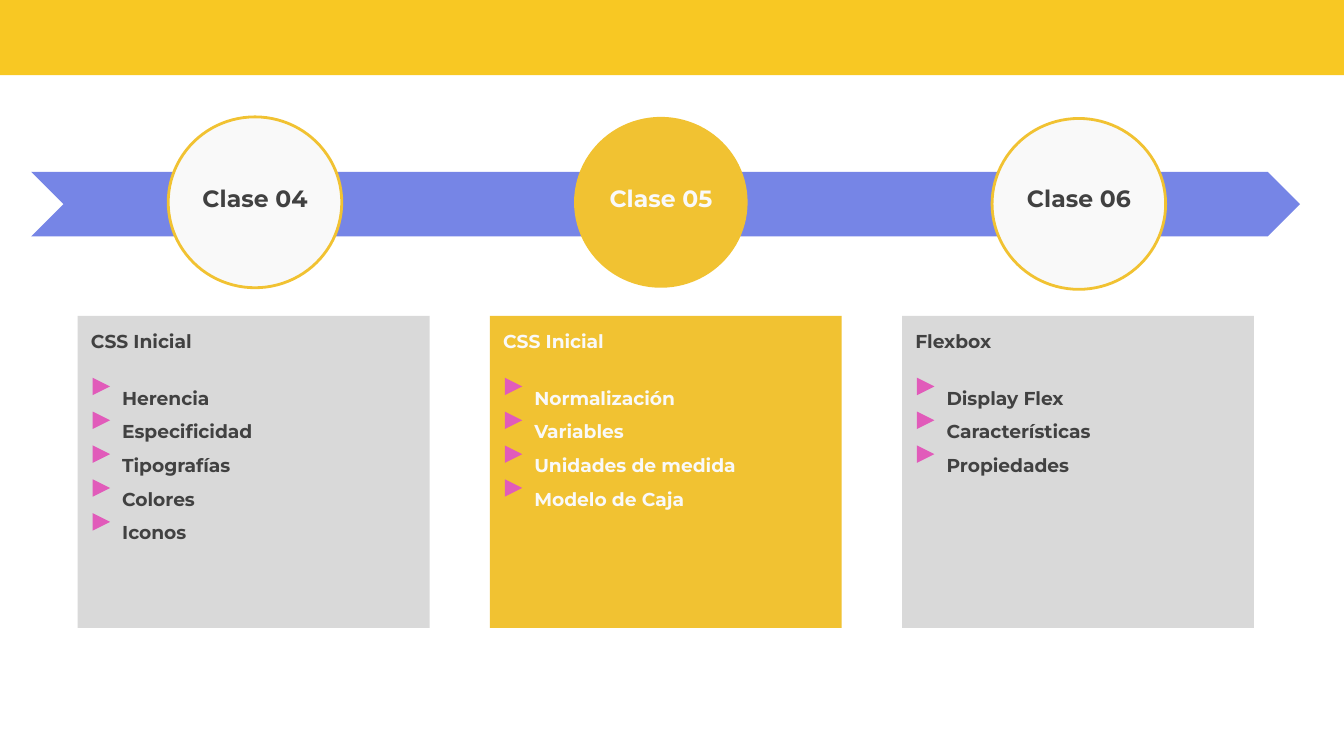
from pptx import Presentation
from pptx import util as u
from pptx.dml.color import RGBColor
from pptx.enum import shapes, text

YELLOW = RGBColor(0xF8, 0xC8, 0x23)
GOLD = RGBColor(0xF1, 0xC2, 0x32)
BLUE = RGBColor(0x76, 0x85, 0xE6)
PINK = RGBColor(0xE1, 0x5B, 0xBA)
GREY = RGBColor(0xD9, 0xD9, 0xD9)
LIGHT = RGBColor(0xF9, 0xF9, 0xF9)
DARK = RGBColor(0x41, 0x41, 0x41)
FONT = "Montserrat"
KIND = shapes.MSO_SHAPE


def write(paragraph, words, size=10, color=DARK, align=text.PP_ALIGN.LEFT,
          spacing=1.0, before=0, indent=0):
    paragraph.alignment = align
    paragraph.line_spacing = spacing
    paragraph.space_before = u.Pt(before)
    properties = paragraph._p.get_or_add_pPr()
    properties.set("marL", str(u.Cm(indent)))
    properties.set("indent", "0")
    run = paragraph.add_run()
    run.text = words
    run.font.name = FONT
    run.font.size = u.Pt(size)
    run.font.bold = True
    run.font.color.rgb = color


class Timeline:
    """Draws the elements of a class timeline on one slide."""

    def __init__(self, slide):
        self.slide = slide

    def block(self, kind, left, top, width, height, fill, outline=None):
        block = self.slide.shapes.add_shape(
            kind, u.Cm(left), u.Cm(top), u.Cm(width), u.Cm(height))
        block.shadow.inherit = False
        block.fill.solid()
        block.fill.fore_color.rgb = fill
        if outline is None:
            block.line.fill.background()
        else:
            block.line.color.rgb = outline
            block.line.width = u.Pt(1.5)
        return block

    def frame(self, left, top, width, height, side=0.25, title=False):
        place = u.Cm(left), u.Cm(top), u.Cm(width), u.Cm(height)
        if title:
            holder = self.slide.shapes.title
            holder.left, holder.top, holder.width, holder.height = place
            self.slide.shapes._spTree.append(holder._element)
        else:
            holder = self.slide.shapes.add_textbox(*place)
        frame = holder.text_frame
        frame.word_wrap = True
        frame.auto_size = text.MSO_AUTO_SIZE.NONE
        frame.vertical_anchor = text.MSO_ANCHOR.TOP
        frame.margin_left = frame.margin_right = u.Cm(side)
        frame.margin_top = frame.margin_bottom = u.Cm(0.25)
        return frame

    def milestone(self, name, left, top, current):
        self.block(KIND.OVAL, left, top, 3.28, 3.23,
                   GOLD if current else LIGHT, None if current else GOLD)
        label = self.frame(left, 3.23, 3.28, 0.84, side=0, title=current)
        write(label.paragraphs[0], name, size=12.6, align=text.PP_ALIGN.CENTER,
              color=LIGHT if current else DARK)

    def card(self, heading, topics, left, current):
        ink = LIGHT if current else DARK
        self.block(KIND.RECTANGLE, left, 5.97, 6.65, 5.9,
                   GOLD if current else GREY)
        body = self.frame(left, 5.99, 6.65, 5.9)
        write(body.paragraphs[0], heading, color=ink)
        for row, topic in enumerate(topics):
            write(body.add_paragraph(), topic, color=ink, spacing=1.5,
                  before=0 if row else 12.2, indent=0.59)
            marker = self.block(KIND.ISOSCELES_TRIANGLE, left + 0.28,
                                7.14 + 0.64 * row, 0.33, 0.33, PINK)
            marker.rotation = 90


CLASSES = [
    ("Clase 04", 3.18, 2.21, "CSS Inicial",
     ["Herencia", "Especificidad", "Tipografías", "Colores", "Iconos"]),
    ("Clase 05", 10.85, 2.21, "CSS Inicial",
     ["Normalización", "Variables", "Unidades de medida", "Modelo de Caja"]),
    ("Clase 06", 18.75, 2.24, "Flexbox",
     ["Display Flex", "Características", "Propiedades"]),
]
CURRENT = "Clase 05"

deck = Presentation()
deck.slide_width, deck.slide_height = u.Cm(25.4), u.Cm(14.29)
timeline = Timeline(deck.slides.add_slide(deck.slide_layouts[5]))
timeline.block(KIND.RECTANGLE, 0, 0, 25.4, 1.42, YELLOW)
timeline.block(KIND.CHEVRON, 0.59, 3.25, 23.98, 1.22, BLUE)
for column, (name, left, top, heading, topics) in enumerate(CLASSES):
    timeline.milestone(name, left, top, name == CURRENT)
    timeline.card(heading, topics, 1.47 + 7.79 * column, name == CURRENT)
deck.save("out.pptx")
